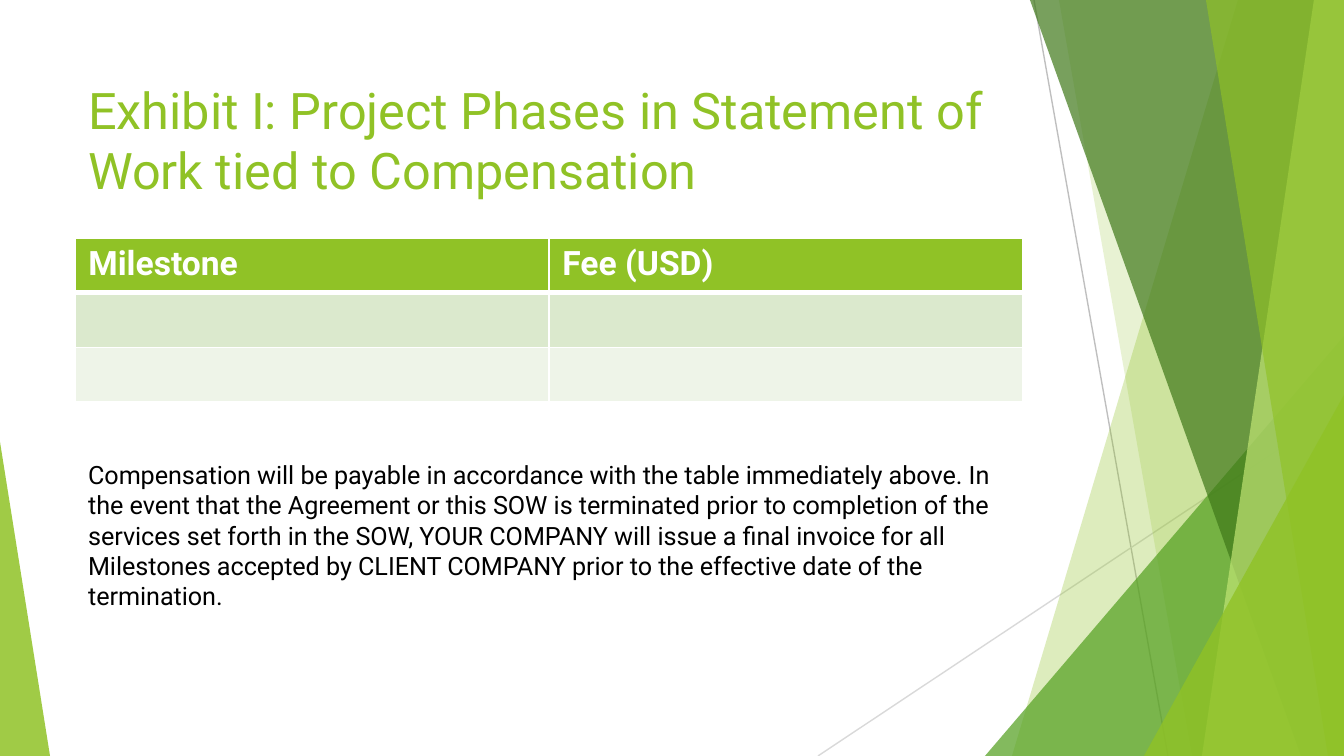
from dataclasses import dataclass

from lxml import etree
from pptx import Presentation
from pptx.dml.color import RGBColor
from pptx.enum.shapes import MSO_CONNECTOR, MSO_SHAPE
from pptx.enum.text import MSO_ANCHOR
from pptx.oxml.ns import qn
from pptx.util import Emu, Pt

STRAIGHT = MSO_CONNECTOR.STRAIGHT
TRIANGLE = MSO_SHAPE.ISOSCELES_TRIANGLE
TOP, MIDDLE = MSO_ANCHOR.TOP, MSO_ANCHOR.MIDDLE
PX = 914400 / 134.4


@dataclass(frozen=True)
class Theme:
    font: str = "Roboto"
    lime: str = "90C226"
    green: str = "54A021"
    forest: str = "3F7819"
    pale: str = "C0E474"
    steep_line: str = "BFBFBF"
    shallow_line: str = "D9D9D9"
    white: str = "FFFFFF"
    black: str = "000000"
    bands: tuple = ("DBE9CD", "EEF4E8")
    title_size: float = 27
    header_size: float = 18
    body_size: float = 13.5
    rule: float = 1
    header_rule: float = 3
    hairline: float = 0.75


THEME = Theme()


def px(length):
    return Emu(round(length * PX))


def rgb(color):
    return RGBColor.from_string(color)


def paint(shape, color, opacity):
    shape.shadow.inherit = False
    shape.line.fill.background()
    shape.fill.solid()
    shape.fill.fore_color.rgb = rgb(color)
    tint = shape.fill._xPr.find(qn("a:solidFill"))[0]
    etree.SubElement(tint, qn("a:alpha"), val=str(opacity * 1000))


def add_line(slide, start, end, color):
    line = slide.shapes.add_connector(STRAIGHT, *map(px, start + end))
    line.line.color.rgb = rgb(color)
    line.line.width = Pt(THEME.hairline)
    etree.SubElement(line._element.spPr, qn("a:effectLst"))


def add_triangle(slide, box, apex, color, opacity):
    triangle = slide.shapes.add_shape(TRIANGLE, *map(px, box))
    triangle.adjustments[0] = apex
    paint(triangle, color, opacity)


def add_wedge(slide, box, top_x, bottom_x, color, opacity):
    left, top, width, height = box
    outline = slide.shapes.build_freeform(top_x, 0, scale=PX)
    outline.add_line_segments([(width, 0), (width, height), (bottom_x, height)])
    paint(outline.convert_to_shape(px(left), px(top)), color, opacity)


def add_facets(slide, box):
    left, top, width, height = box

    def corner(x, y):
        add_triangle(slide, (left + x, top + y, width - x, height - y), 1, *tint)

    add_line(slide, (left + 216, top), (left + 350, top + height), THEME.steep_line)
    add_line(slide, (left + width, top + 406), (left, top + height), THEME.shallow_line)
    facets = [
        ("wedge", 420, 194, THEME.lime, 30),
        ("wedge", 241, 374, THEME.lime, 20),
        ("corner", 167, 336, THEME.green, 72),
        ("wedge", 212, 483, THEME.forest, 70),
        ("wedge", 496, 384, THEME.pale, 70),
        ("wedge", 388, 510, THEME.lime, 65),
        ("corner", 326, 395, THEME.lime, 80),
    ]
    for kind, first, second, *tint in facets:
        if kind == "wedge":
            add_wedge(slide, box, first, second, *tint)
        else:
            corner(first, second)


def style_runs(paragraph, size, color, bold=False):
    for run in paragraph.runs:
        run.font.name = THEME.font
        run.font.size = Pt(size)
        run.font.bold = bold
        run.font.color.rgb = rgb(color)


def add_text(slide, box, text, size, color, anchor):
    frame = slide.shapes.add_textbox(*map(px, box)).text_frame
    frame.word_wrap = True
    frame.vertical_anchor = anchor
    frame.text = text
    style_runs(frame.paragraphs[0], size, color)


def set_borders(cell, **widths):
    properties = cell._tc.get_or_add_tcPr()
    for index, side in enumerate("LRTB"):
        width = Pt(widths.get(side, THEME.rule))
        border = etree.Element(qn(f"a:ln{side}"), w=str(width))
        fill = etree.SubElement(border, qn("a:solidFill"))
        etree.SubElement(fill, qn("a:srgbClr"), val=THEME.white)
        properties.insert(index, border)


def add_fee_table(slide, box, headings):
    fills = (THEME.lime, *THEME.bands)
    rules = ({"B": THEME.header_rule}, {"T": THEME.header_rule}, {})
    table = slide.shapes.add_table(len(fills), len(headings), *map(px, box)).table
    for column, heading in enumerate(headings):
        table.cell(0, column).text = heading
        style_runs(table.cell(0, column).text_frame.paragraphs[0],
                   THEME.header_size, THEME.white, True)
        for row, (fill, rule) in enumerate(zip(fills, rules)):
            cell = table.cell(row, column)
            cell.fill.solid()
            cell.fill.fore_color.rgb = rgb(fill)
            set_borders(cell, **rule)


def main():
    deck = Presentation()
    deck.slide_width, deck.slide_height = px(1344), px(756)
    slide = deck.slides.add_slide(deck.slide_layouts[6])
    add_facets(slide, (818, 0, 526, 756))
    add_triangle(slide, (0, 442, 50, 314), 0, THEME.lime, 85)
    add_text(slide, (75, 67, 948, 145),
             "Exhibit I: Project Phases in Statement of Work tied to Compensation",
             THEME.title_size, THEME.lime, MIDDLE)
    add_fee_table(slide, (75, 238, 948, 164), ("Milestone", "Fee (USD)"))
    add_text(slide, (75, 453, 948, 167),
             "Compensation will be payable in accordance with the table immediately "
             "above. In the event that the Agreement or this SOW is terminated prior "
             "to completion of the services set forth in the SOW, YOUR COMPANY will "
             "issue a final invoice for all Milestones accepted by CLIENT COMPANY "
             "prior to the effective date of the termination.",
             THEME.body_size, THEME.black, TOP)
    deck.save("out.pptx")


if __name__ == "__main__":
    main()
